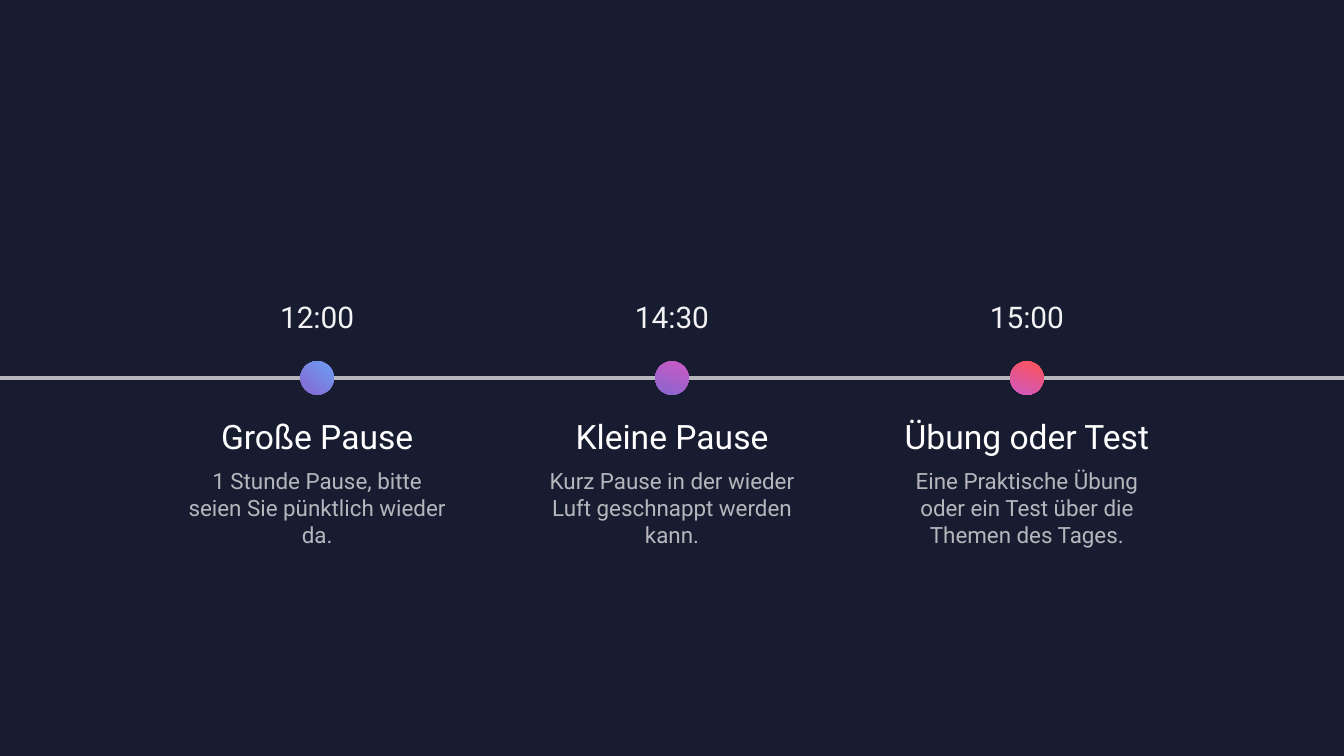
from dataclasses import dataclass
from pptx import Presentation
from pptx.dml.color import RGBColor as Rgb
from pptx.enum.shapes import MSO_CONNECTOR as Link, MSO_SHAPE as Form
from pptx.enum.text import MSO_AUTO_SIZE as Fit, PP_ALIGN as Align
from pptx.oxml.ns import qn
from pptx.util import Pt

PX = 9525  # EMU per px, 96 px to the inch
WIDE, HIGH = 1280, 720


@dataclass(frozen=True)
class Theme:
    font: str = "Roboto"
    back: str = "171C30"
    white: str = "FFFFFF"
    pale: str = "F2F2F5"
    grey: str = "B6B6BD"
    blue: str = "6C9FF4"
    violet: str = "8766D0"
    pink: str = "CE59C4"
    red: str = "FF5355"
    title: float = 24
    time: float = 21.3
    note: float = 16
    rule: float = 3


class Deck:
    def __init__(self, theme):
        self.theme = theme
        self.file = Presentation()
        self.file.slide_width, self.file.slide_height = WIDE * PX, HIGH * PX
        self.slide = self.file.slides.add_slide(self.file.slide_layouts[6])
        fill = self.slide.background.fill
        fill.solid()
        fill.fore_color.rgb = Rgb.from_string(theme.back)

    def line(self, left, right, y):
        link = self.slide.shapes.add_connector(
            Link.STRAIGHT, left * PX, y * PX, right * PX, y * PX)
        link.line.width = Pt(self.theme.rule)
        link.line.color.rgb = Rgb.from_string(self.theme.grey)
        props = link._element.spPr
        props.append(props.makeelement(qn("a:effectLst"), {}))

    def dot(self, x, y, size, start, end, angle):
        """Draw a gradient circle centred on x, y; angle runs counter-clockwise."""
        shape = self.slide.shapes.add_shape(
            Form.OVAL, (x - size // 2) * PX, (y - size // 2) * PX, size * PX, size * PX)
        shape.shadow.inherit = False
        shape.line.fill.background()
        shape.fill.gradient()
        shape.fill.gradient_angle = angle
        for stop, color, place in zip(shape.fill.gradient_stops, (start, end), (0, 1)):
            stop.color.rgb = Rgb.from_string(color)
            stop.position = place

    def text(self, words, *, x, top, width, height, size, color):
        """Add a text box centred on x."""
        box = self.slide.shapes.add_textbox(
            (x - width // 2) * PX, top * PX, width * PX, height * PX)
        frame = box.text_frame
        frame.word_wrap = True
        frame.auto_size = Fit.SHAPE_TO_FIT_TEXT
        para = frame.paragraphs[0]
        para.alignment = Align.CENTER
        run = para.add_run()
        run.text = words
        run.font.name = self.theme.font
        run.font.size = Pt(size)
        run.font.color.rgb = Rgb.from_string(color)


def main():
    look = Theme()
    deck = Deck(look)
    events = [
        ("12:00", "Große Pause",
         "1 Stunde Pause, bitte seien Sie pünktlich wieder da.",
         look.violet, look.blue, 50),
        ("14:30", "Kleine Pause",
         "Kurz Pause in der wieder Luft geschnappt werden kann.",
         look.pink, look.violet, 250),
        ("15:00", "Übung oder Test",
         "Eine Praktische Übung oder ein Test über die Themen des Tages.",
         look.red, look.pink, 250),
    ]
    axis, step, size = HIGH // 2, 338, 32
    spots = [WIDE // 2 + step * (i - 1) for i in range(len(events))]

    starts = [0] + [x + size // 2 for x in spots]
    ends = [x - size // 2 for x in spots] + [WIDE]
    for left, right in zip(starts, ends):
        deck.line(left, right, axis)

    for x, (time, title, note, start, end, angle) in zip(spots, events):
        deck.dot(x, axis, size, start, end, angle)
        deck.text(title, x=x, top=391, width=268, height=48,
                  size=look.title, color=look.white)
        deck.text(time, x=x, top=280, width=102, height=44,
                  size=look.time, color=look.pale)
        deck.text(note, x=x, top=440, width=268, height=87,
                  size=look.note, color=look.grey)

    deck.file.save("out.pptx")


if __name__ == "__main__":
    main()
